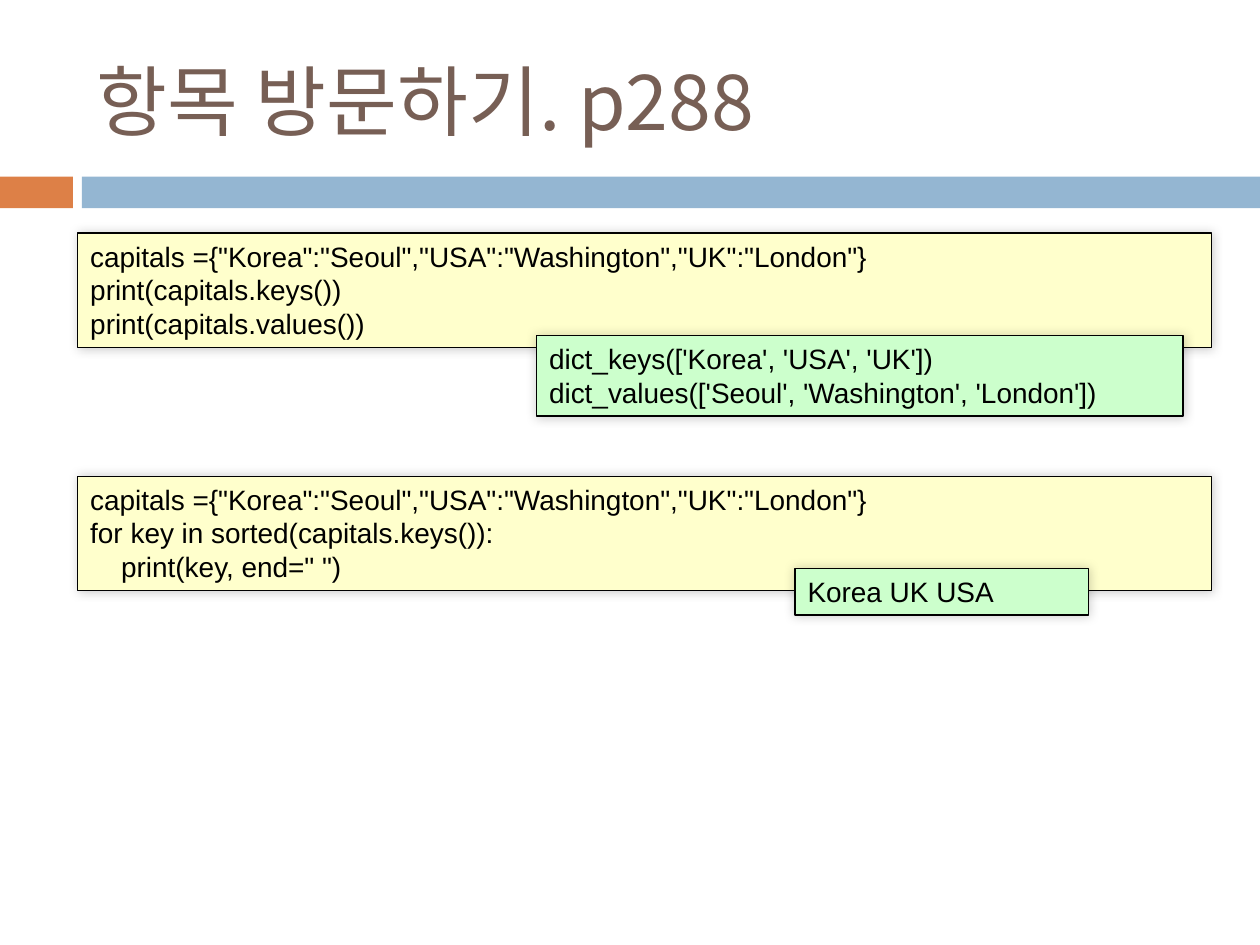
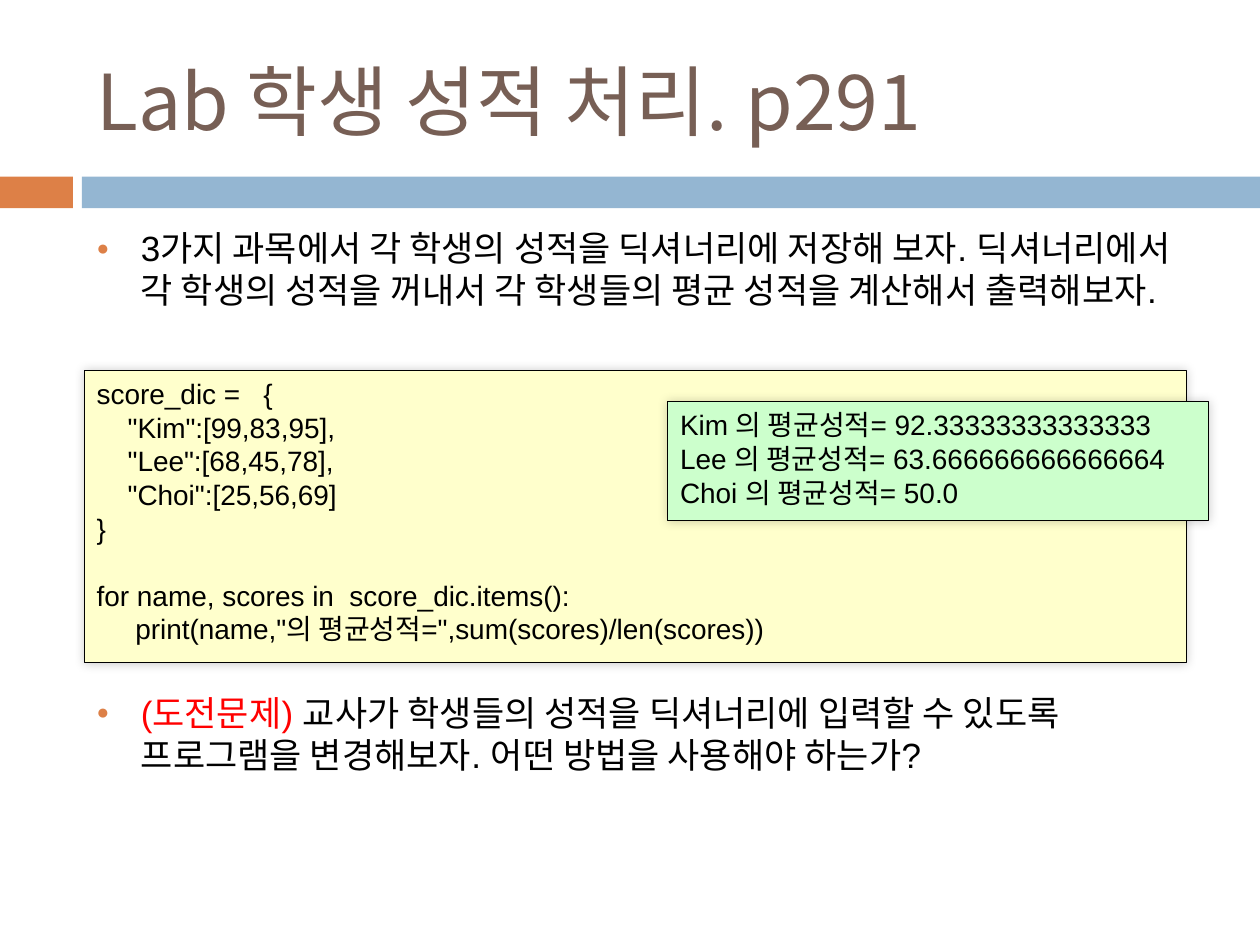
import pptx
import pptx.util
import pptx.dml.color
import pptx.enum.shapes
import pptx.enum.text
import pptx.oxml.ns
from lxml import etree

Cm = pptx.util.Cm
Pt = pptx.util.Pt
qn = pptx.oxml.ns.qn
ANCHOR = pptx.enum.text.MSO_ANCHOR

HUES = {
    "title": "775F55",
    "orange": "DD8047",
    "blue": "94B6D2",
    "code": "FFFFCC",
    "result": "CCFFCC",
    "ink": "000000",
    "alert": "FF0000",
}
HANGUL = "Noto Sans CJK KR"
HEAD = {"name": HANGUL, "size": Pt(44)}
BODY = {"name": "Arial", "size": Pt(20)}
CODE = {"name": "Arial", "size": Pt(16)}
BODY_LINE = Pt(24)
CODE_LINE = Pt(19.2)
INDENT = Cm(0.89)
LEFT, WIDE = 1.7, 22.66

CAPITALS = 'capitals ={"Korea":"Seoul","USA":"Washington","UK":"London"}'
KEYS = [CAPITALS, "print(capitals.keys())", "print(capitals.values())"]
PAIRS = ["dict_keys(['Korea', 'USA', 'UK'])",
         "dict_values(['Seoul', 'Washington', 'London'])"]
LOOP = [CAPITALS, "for key in sorted(capitals.keys()):", '    print(key, end=" ")']
SCORES = [
    "score_dic =   {",
    '    "Kim":[99,83,95],',
    '    "Lee":[68,45,78],',
    '    "Choi":[25,56,69]',
    "}",
    "",
    "for name, scores in  score_dic.items():",
    '     print(name,"의 평균성적=",sum(scores)/len(scores))',
]
MEANS = ["Kim 의 평균성적= 92.33333333333333",
         "Lee 의 평균성적= 63.666666666666664",
         "Choi 의 평균성적= 50.0"]
TASK = [("3가지 과목에서 각 학생의 성적을 딕셔너리에 저장해 보자. "
         "딕셔너리에서 각 학생의 성적을 꺼내서 각 학생들의 평균 성적을 "
         "계산해서 출력해보자.", "ink")]
DARE = [("(도전문제) ", "alert"),
        ("교사가 학생들의 성적을 딕셔너리에 입력할 수 있도록 "
         "프로그램을 변경해보자. 어떤 방법을 사용해야 하는가?", "ink")]


def color(hue):
    return pptx.dml.color.RGBColor.from_string(HUES[hue])


def apply(item, values):
    for key, value in values.items():
        setattr(item, key, value)


def write(para, text, style, hue):
    run = para.add_run()
    run.text = text
    apply(run.font, style)
    run.font.color.rgb = color(hue)
    etree.SubElement(run.font._element, qn("a:ea"), typeface=HANGUL)


def frame(shape, anchor=ANCHOR.TOP):
    apply(shape.text_frame, {
        "word_wrap": True,
        "auto_size": pptx.enum.text.MSO_AUTO_SIZE.NONE,
        "vertical_anchor": anchor,
    })
    return shape.text_frame


def block(slide, area, hue):
    kind = pptx.enum.shapes.MSO_SHAPE.RECTANGLE
    shape = slide.shapes.add_shape(kind, *map(Cm, area))
    shape.shadow.inherit = False
    shape.fill.solid()
    shape.fill.fore_color.rgb = color(hue)
    shape.line.fill.background()
    return shape


def shade(shape):
    effects = shape._element.spPr.find(qn("a:effectLst"))
    outer = etree.SubElement(effects, qn("a:outerShdw"), blurRad=str(Pt(6)),
                             dist="0", dir="18900000", rotWithShape="0")
    tint = etree.SubElement(outer, qn("a:srgbClr"), val=HUES["ink"])
    etree.SubElement(tint, qn("a:alpha"), val="20000")


def panel(slide, area, hue, lines):
    shape = block(slide, area, hue)
    shape.line.color.rgb = color("ink")
    shape.line.width = Pt(0.75)
    shade(shape)
    text = frame(shape)
    para, gap = text.paragraphs[0], Pt(0)
    for row, line in enumerate(lines):
        if not line:
            gap = CODE_LINE
            continue
        if row:
            para = text.add_paragraph()
        apply(para, {"alignment": pptx.enum.text.PP_ALIGN.LEFT,
                     "line_spacing": CODE_LINE, "space_before": gap})
        write(para, line, CODE, "ink")
        gap = Pt(0)


def bullet(slide, top, height, parts):
    box = slide.shapes.add_textbox(*map(Cm, (LEFT, top, WIDE, height)))
    para = frame(box).paragraphs[0]
    para.line_spacing = BODY_LINE
    props = para._p.get_or_add_pPr()
    props.set("marL", str(INDENT))
    props.set("indent", str(-INDENT))
    tint = etree.SubElement(props, qn("a:buClr"))
    etree.SubElement(tint, qn("a:srgbClr"), val=HUES["orange"])
    etree.SubElement(props, qn("a:buSzPct"), val="60000")
    etree.SubElement(props, qn("a:buFont"), typeface="Arial")
    etree.SubElement(props, qn("a:buChar"), char="●")
    for text, hue in parts:
        write(para, text, BODY, hue)


def page(deck, title):
    slide = deck.slides.add_slide(deck.slide_layouts[6])
    block(slide, (0, 3.56, 1.47, 0.64), "orange")
    block(slide, (1.65, 3.56, 23.75, 0.64), "blue")
    box = slide.shapes.add_textbox(*map(Cm, (LEFT, 0.64, WIDE, 2.74)))
    write(frame(box, ANCHOR.MIDDLE).paragraphs[0], title, HEAD, "title")
    return slide


def main():
    deck = pptx.Presentation()
    apply(deck, {"slide_width": Cm(25.4), "slide_height": Cm(19.05)})

    visit = page(deck, "항목 방문하기. p288")
    panel(visit, (1.57, 4.7, 22.86, 2.31), "code", KEYS)
    panel(visit, (10.82, 6.76, 13.03, 1.63), "result", PAIRS)
    panel(visit, (1.57, 9.6, 22.86, 2.31), "code", LOOP)
    panel(visit, (16.03, 11.46, 5.92, 0.94), "result", ["Korea UK USA"])

    lab = page(deck, "Lab 학생 성적 처리. p291")
    bullet(lab, 4.45, 2.8, TASK)
    bullet(lab, 13.82, 2, DARE)
    panel(lab, (LEFT, 7.47, 22.22, 5.89), "code", SCORES)
    panel(lab, (13.46, 8.1, 10.9, 2.39), "result", MEANS)

    deck.save("out.pptx")


if __name__ == "__main__":
    main()
